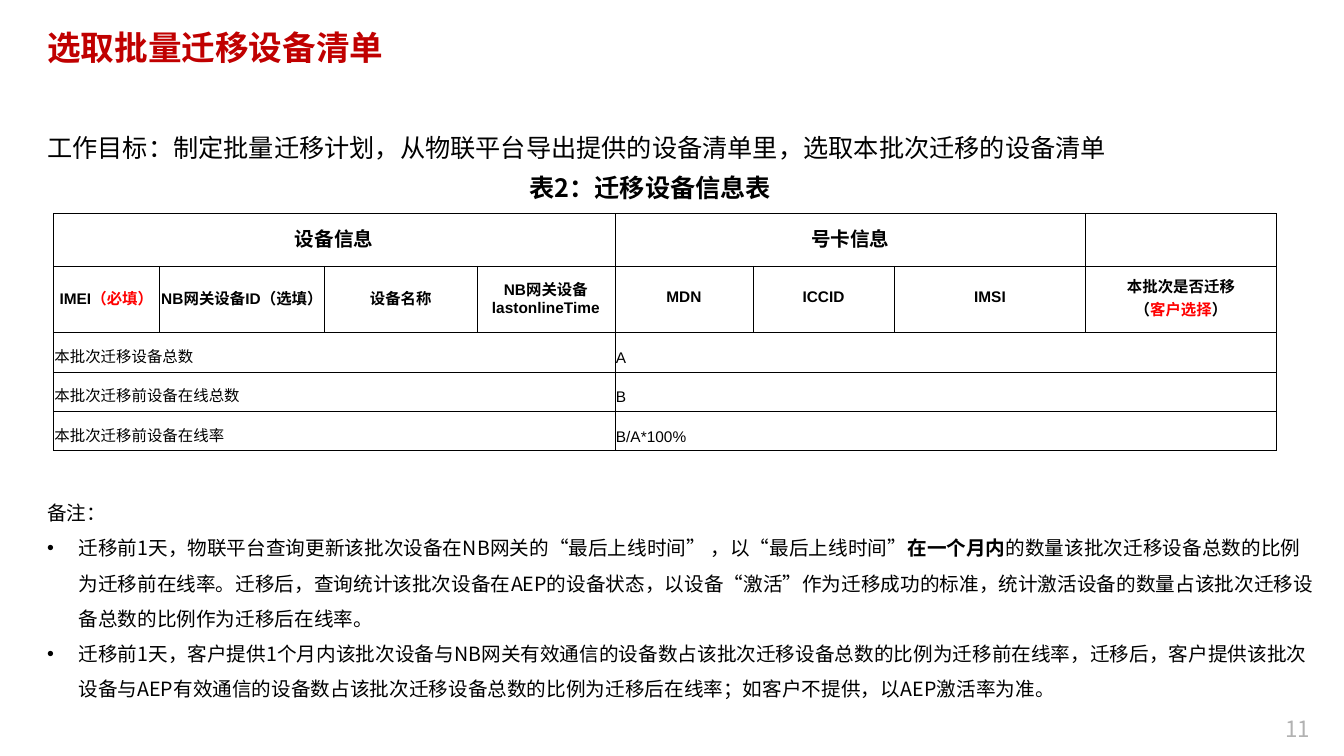
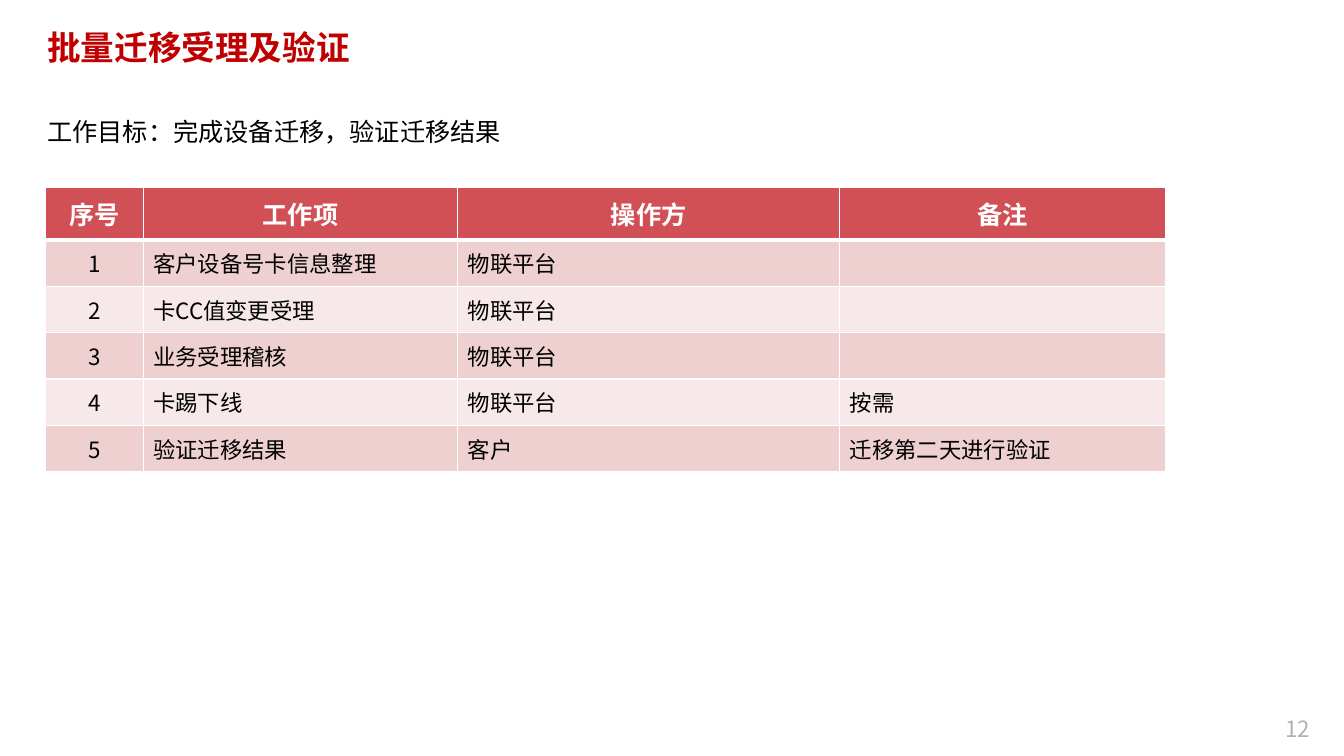
"""Build two slides on batch device migration: the device list and the acceptance steps."""
from dataclasses import dataclass, replace

from lxml.etree import SubElement
from pptx import Presentation
from pptx.dml.color import RGBColor
from pptx.enum.text import MSO_ANCHOR, MSO_AUTO_SIZE, PP_ALIGN
from pptx.oxml.ns import qn
from pptx.util import Inches, Pt

COLORS = {
    "title": "C00000",
    "text": "000000",
    "required": "FF0000",
    "page": "B2B2B2",
    "white": "FFFFFF",
    "header": "D05056",
    "band_dark": "EED0D1",
    "band_light": "F7E9E9",
}
CJK_FONT = "Noto Sans CJK SC"


@dataclass(frozen=True)
class Style:
    size: int
    color: str = "text"
    bold: bool = False
    font: str = CJK_FONT
    align: PP_ALIGN = PP_ALIGN.LEFT
    line_spacing: float | None = None
    bullet: bool = False


@dataclass(frozen=True)
class Run:
    text: str
    color: str | None = None
    bold: bool | None = None


@dataclass(frozen=True)
class Paragraph:
    runs: tuple[Run, ...]
    style: Style


@dataclass(frozen=True)
class Box:
    left: float
    top: float
    width: float
    height: float


@dataclass(frozen=True)
class Cell:
    paragraphs: tuple[Paragraph, ...]
    span: int = 1
    anchor: MSO_ANCHOR = MSO_ANCHOR.MIDDLE
    fill: str | None = None
    bottom_width: float | None = None


@dataclass(frozen=True)
class Grid:
    left: float
    top: float
    columns: tuple[float, ...]
    rows: tuple[float, ...]
    border: str
    border_width: float
    margins: tuple[float, float, float, float]


TITLE = Style(24, "title", True, line_spacing=0.9)
PAGE = Style(16, "page")
GOAL = Style(18)
CAPTION = Style(18, bold=True, align=PP_ALIGN.CENTER)
NOTE = Style(14)
NOTE_BULLET = replace(NOTE, line_spacing=1.5, bullet=True)
GROUP_HEAD = Style(14, bold=True, font="Arial", align=PP_ALIGN.CENTER)
FIELD_HEAD = replace(GROUP_HEAD, size=11)
TOTAL = Style(11, font="Arial")
STEP_HEAD = Style(18, "white", True, align=PP_ALIGN.CENTER)
STEP = Style(16)
STEP_NUMBER = replace(STEP, align=PP_ALIGN.CENTER)

DEVICE_GRID = Grid(0.53, 2.12, (1.05, 1.64, 1.51, 1.37, 1.37, 1.4, 1.9, 1.89),
                   (0.52, 0.66, 0.39, 0.39, 0.39), "text", 0.5, (0.01, 0.01, 0.01, 0.05))
STEP_GRID = Grid(0.45, 1.86, (0.97, 3.12, 3.79, 3.23), (0.52,) + (0.46,) * 5,
                 "white", 1, (0.1, 0.05, 0.1, 0.05))

TOTALS = (
    ("本批次迁移设备总数", "A"),
    ("本批次迁移前设备在线总数", "B"),
    ("本批次迁移前设备在线率", "B/A*100%"),
)
STEP_HEADINGS = ("序号", "工作项", "操作方", "备注")
STEPS = (
    ("客户设备号卡信息整理", "物联平台", ""),
    ("卡CC值变更受理", "物联平台", ""),
    ("业务受理稽核", "物联平台", ""),
    ("卡踢下线", "物联平台", "按需"),
    ("验证迁移结果", "客户", "迁移第二天进行验证"),
)


def rgb(name: str) -> RGBColor:
    """Return a palette colour."""
    return RGBColor.from_string(COLORS[name])


def line(text: str, style: Style) -> Paragraph:
    """Return a paragraph of one run."""
    return Paragraph((Run(text),), style)


def write_paragraph(paragraph, content: Paragraph) -> None:
    """Fill a paragraph with its runs and style."""
    style = content.style
    paragraph.alignment = style.align
    if style.line_spacing:
        paragraph.line_spacing = style.line_spacing
    if style.bullet:
        properties = paragraph._p.get_or_add_pPr()
        properties.set("marL", str(Inches(0.31)))
        properties.set("indent", str(-Inches(0.31)))
        SubElement(properties, qn("a:buFont"), typeface="Arial")
        SubElement(properties, qn("a:buChar"), char="•")
    font = paragraph.font
    font.size = Pt(style.size)
    font.bold = style.bold
    font.name = style.font
    font.color.rgb = rgb(style.color)
    SubElement(font._element, qn("a:ea"), typeface=CJK_FONT)
    for part in content.runs:
        run = paragraph.add_run()
        run.text = part.text
        if part.color:
            run.font.color.rgb = rgb(part.color)
        if part.bold is not None:
            run.font.bold = part.bold


def write_frame(frame, contents: tuple[Paragraph, ...]) -> None:
    """Write paragraphs into a text frame."""
    for index, content in enumerate(contents):
        paragraph = frame.add_paragraph() if index else frame.paragraphs[0]
        write_paragraph(paragraph, content)


def add_text(slide, box: Box, *contents: Paragraph, wrap: bool = False,
             anchor: MSO_ANCHOR = MSO_ANCHOR.TOP) -> None:
    """Add a text box."""
    shape = slide.shapes.add_textbox(Inches(box.left), Inches(box.top),
                                     Inches(box.width), Inches(box.height))
    frame = shape.text_frame
    frame.word_wrap = wrap
    frame.auto_size = MSO_AUTO_SIZE.NONE if wrap else MSO_AUTO_SIZE.SHAPE_TO_FIT_TEXT
    frame.vertical_anchor = anchor
    write_frame(frame, contents)


def set_borders(cell, color: str, width: float, bottom_width: float | None) -> None:
    """Draw the four borders of a cell."""
    properties = cell._tc.get_or_add_tcPr()
    for side in ("L", "R", "T", "B"):
        points = bottom_width if side == "B" and bottom_width else width
        border = SubElement(properties, qn(f"a:ln{side}"), w=str(Pt(points)))
        fill = SubElement(border, qn("a:solidFill"))
        SubElement(fill, qn("a:srgbClr"), val=COLORS[color])


def format_cell(cell, content: Cell, grid: Grid) -> None:
    """Set margins, borders and fill of a cell."""
    cell.margin_left, cell.margin_top, cell.margin_right, cell.margin_bottom = map(
        Inches, grid.margins)
    cell.vertical_anchor = content.anchor
    set_borders(cell, grid.border, grid.border_width, content.bottom_width)
    if content.fill:
        cell.fill.solid()
        cell.fill.fore_color.rgb = rgb(content.fill)
    else:
        cell.fill.background()


def add_grid(slide, grid: Grid, rows: list[list[Cell]]) -> None:
    """Add a table whose cells may span columns."""
    table = slide.shapes.add_table(
        len(grid.rows), len(grid.columns), Inches(grid.left), Inches(grid.top),
        Inches(sum(grid.columns)), Inches(sum(grid.rows))).table
    table.first_row = table.horz_banding = False
    for column, width in zip(table.columns, grid.columns):
        column.width = Inches(width)
    for row, height in zip(table.rows, grid.rows):
        row.height = Inches(height)
    for row_index, contents in enumerate(rows):
        start = 0
        for content in contents:
            end = start + content.span
            for column_index in range(start, end):
                cell = table.cell(row_index, column_index)
                format_cell(cell, content, grid)
                if column_index > start:
                    write_paragraph(cell.text_frame.paragraphs[0],
                                    Paragraph((), content.paragraphs[0].style))
            origin = table.cell(row_index, start)
            write_frame(origin.text_frame, content.paragraphs)
            if content.span > 1:
                origin.merge(table.cell(row_index, end - 1))
            start = end


def add_page(presentation, title: str, number: int):
    """Add a blank slide with its title and page number."""
    slide = presentation.slides.add_slide(presentation.slide_layouts[6])
    add_text(slide, Box(12.65, 7.05, 0.46, 0.37), line(str(number), PAGE))
    add_text(slide, Box(0.37, 0.13, 11.28, 0.72), line(title, TITLE),
             wrap=True, anchor=MSO_ANCHOR.MIDDLE)
    return slide


def device_rows() -> list[list[Cell]]:
    """Return the rows of the device table."""
    groups = [Cell((line(text, GROUP_HEAD),), span)
              for text, span in (("设备信息", 4), ("号卡信息", 3), ("", 1))]
    names = ("NB网关设备ID（选填）", "设备名称", "NB网关设备lastonlineTime", "MDN", "ICCID", "IMSI")
    imei = Paragraph((Run("IMEI"), Run("（必填）", "required")), FIELD_HEAD)
    choice = Paragraph((Run("（"), Run("客户选择", "required"), Run("）")), FIELD_HEAD)
    fields = [Cell((imei,)), *(Cell((line(name, FIELD_HEAD),)) for name in names),
              Cell((line("本批次是否迁移", FIELD_HEAD), choice))]
    totals = [[Cell((line(text, TOTAL),), 4, MSO_ANCHOR.BOTTOM) for text in pair]
              for pair in TOTALS]
    return [groups, fields, *totals]


def step_rows() -> list[list[Cell]]:
    """Return the rows of the step table."""
    rows = [[Cell((line(text, STEP_HEAD),), fill="header", bottom_width=3)
             for text in STEP_HEADINGS]]
    for number, step in enumerate(STEPS, 1):
        fill = "band_dark" if number % 2 else "band_light"
        rows.append([Cell((line(str(number), STEP_NUMBER),), fill=fill),
                     *(Cell((line(text, STEP),), fill=fill) for text in step)])
    return rows


def add_device_slide(presentation) -> None:
    """Add the slide with the list of devices to migrate."""
    slide = add_page(presentation, "选取批量迁移设备清单", 11)
    add_text(slide, Box(4.7, 1.66, 3.5, 0.4), line("表2：迁移设备信息表", CAPTION), wrap=True)
    add_grid(slide, DEVICE_GRID, device_rows())
    add_text(slide, Box(0.37, 1.26, 10.8, 0.4), line(
        "工作目标：制定批量迁移计划，从物联平台导出提供的设备清单里，选取本批次迁移的设备清单", GOAL))
    online_rate = Paragraph((
        Run("迁移前1天，物联平台查询更新该批次设备在NB网关的“最后上线时间” ，以“最后上线时间”"),
        Run("在一个月内", bold=True),
        Run("的数量该批次迁移设备总数的比例为迁移前在线率。迁移后，查询统计该批次设备在AEP的设备状态，"
            "以设备“激活”作为迁移成功的标准，统计激活设备的数量占该批次迁移设备总数的比例作为迁移后在线率。"),
    ), NOTE_BULLET)
    customer_rate = line(
        "迁移前1天，客户提供1个月内该批次设备与NB网关有效通信的设备数占该批次迁移设备总数的比例为迁移前在线率，"
        "迁移后，客户提供该批次设备与AEP有效通信的设备数占该批次迁移设备总数的比例为迁移后在线率；"
        "如客户不提供，以AEP激活率为准。", NOTE_BULLET)
    add_text(slide, Box(0.37, 4.92, 12.82, 2.06), line("备注：", NOTE),
             online_rate, customer_rate, wrap=True)


def add_step_slide(presentation) -> None:
    """Add the slide with the migration steps."""
    slide = add_page(presentation, "批量迁移受理及验证", 12)
    add_grid(slide, STEP_GRID, step_rows())
    add_text(slide, Box(0.37, 1.11, 4.85, 0.4),
             line("工作目标：完成设备迁移，验证迁移结果", GOAL))


def main() -> None:
    """Build and save the presentation."""
    presentation = Presentation()
    presentation.slide_width = Inches(13.33)
    presentation.slide_height = Inches(7.5)
    add_device_slide(presentation)
    add_step_slide(presentation)
    presentation.save("out.pptx")


if __name__ == "__main__":
    main()
